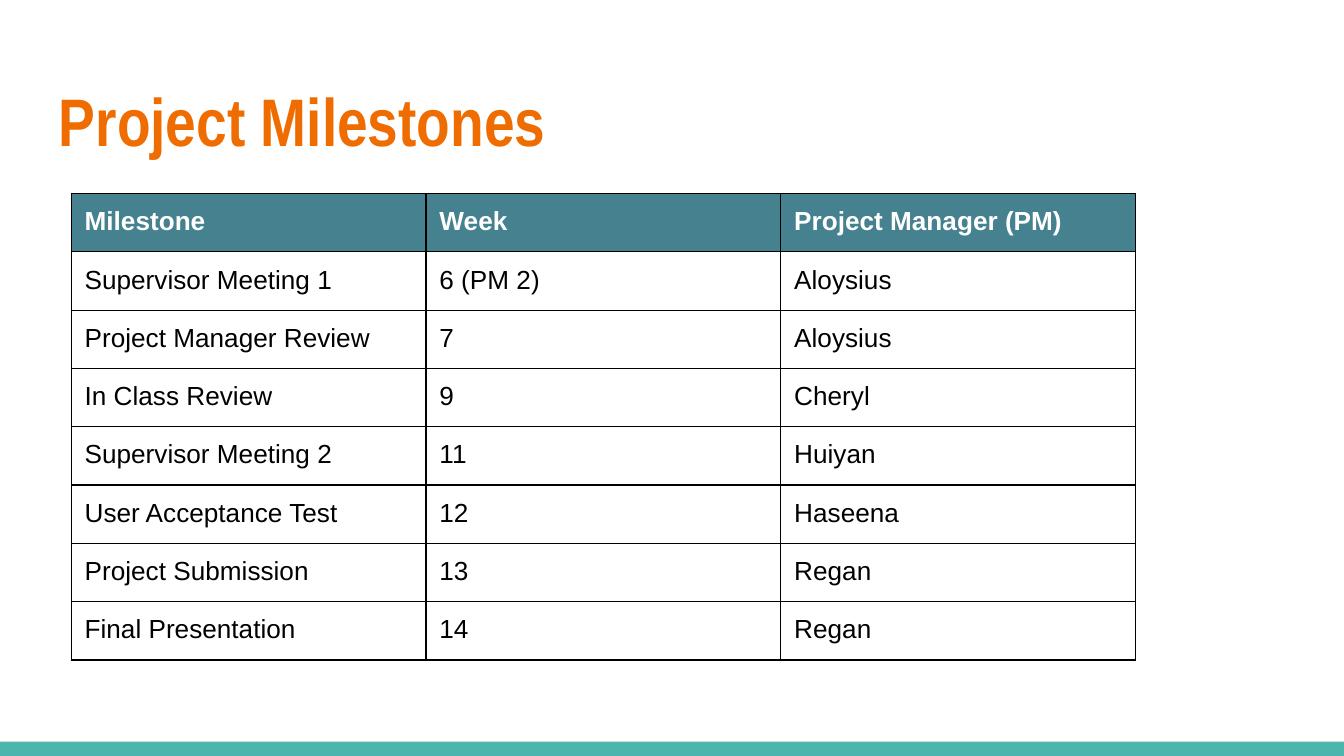
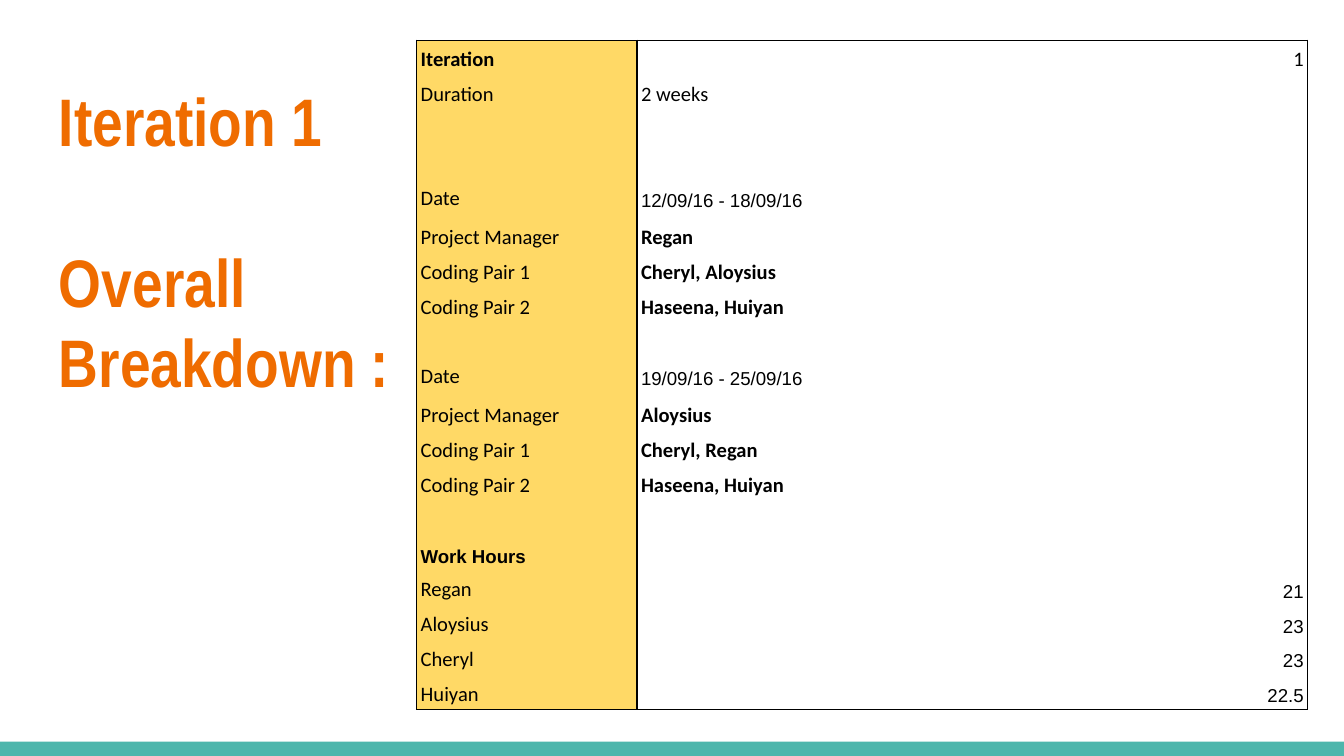
from lxml.etree import SubElement
from pptx import Presentation
from pptx.dml.color import RGBColor
from pptx.enum.shapes import MSO_SHAPE
from pptx.enum.text import MSO_ANCHOR, PP_ALIGN
from pptx.oxml.ns import qn
from pptx.util import Inches, Pt

COLORS = {
    "band": "4DB6AC",
    "title": "EF6C00",
    "header": "45818E",
    "label": "FFD966",
    "black": "000000",
    "white": "FFFFFF",
}

# Grid: 100 columns by 100 rows over the slide
WIDTH, HEIGHT = Inches(10), Inches(5.625)
TITLE_SIZE = 36
TITLE_LINE = 43
BORDER_WIDTH = Pt(0.75)
SIDES = ("L", "R", "T", "B")

MILESTONES = [
    ("Milestone", "Week", "Project Manager (PM)"),
    ("Supervisor Meeting 1", "6 (PM 2)", "Aloysius"),
    ("Project Manager Review", "7", "Aloysius"),
    ("In Class Review", "9", "Cheryl"),
    ("Supervisor Meeting 2", "11", "Huiyan"),
    ("User Acceptance Test", "12", "Haseena"),
    ("Project Submission", "13", "Regan"),
    ("Final Presentation", "14", "Regan"),
]

# Text styles: font name, size, bold, alignment
PLAIN = ("Calibri", 11, False, PP_ALIGN.LEFT)
STRONG = ("Calibri", 11, True, PP_ALIGN.LEFT)
NUMBER = ("Calibri", 11, False, PP_ALIGN.RIGHT)
DATE = ("Arial", 10, False, PP_ALIGN.LEFT)
HEADING = ("Arial", 10, True, PP_ALIGN.LEFT)
HOURS = ("Arial", 10, False, PP_ALIGN.RIGHT)

# Each row: label, label style, value, value style
EMPTY = ("", PLAIN, "", PLAIN)


def week_rows(dates, manager, first_pair, second_pair):
    return [
        ("Date", PLAIN, dates, DATE),
        ("Project Manager", PLAIN, manager, STRONG),
        ("Coding Pair 1", PLAIN, first_pair, STRONG),
        ("Coding Pair 2", PLAIN, second_pair, STRONG),
        EMPTY,
    ]


BREAKDOWN = [
    ("Iteration", STRONG, "1", NUMBER),
    ("Duration", PLAIN, "2 weeks", PLAIN),
    EMPTY,
    EMPTY,
    *week_rows("12/09/16 - 18/09/16", "Regan", "Cheryl, Aloysius", "Haseena, Huiyan"),
    *week_rows("19/09/16 - 25/09/16", "Aloysius", "Cheryl, Regan", "Haseena, Huiyan"),
    ("Work Hours", HEADING, "", PLAIN),
    ("Regan", PLAIN, "21", HOURS),
    ("Aloysius", PLAIN, "23", HOURS),
    ("Cheryl", PLAIN, "23", HOURS),
    ("Huiyan", PLAIN, "22.5", HOURS),
]


def columns(count):
    return round(WIDTH * count / 100)


def rows(count):
    return round(HEIGHT * count / 100)


def color(name):
    return RGBColor.from_string(COLORS[name])


def set_font(paragraph, name, size, bold, color_name):
    font = paragraph.font
    font.name, font.size, font.bold = name, Pt(size), bold
    font.color.rgb = color(color_name)


# Shared slide parts
def add_band(slide):
    band = slide.shapes.add_shape(
        MSO_SHAPE.RECTANGLE, 0, rows(98.1), WIDTH, rows(1.9))
    band.shadow.inherit = False
    band.fill.solid()
    band.fill.fore_color.rgb = color("band")
    band.line.fill.background()


def add_title(slide, *lines):
    box = slide.shapes.add_textbox(
        columns(3.4), rows(8.71), columns(93.2), rows(13.69))
    frame = box.text_frame
    frame.word_wrap = True
    frame.margin_left = frame.margin_right = Inches(0.1)
    frame.margin_top = frame.margin_bottom = Inches(0.1)
    frame.text = "\n".join(lines)
    for paragraph in frame.paragraphs:
        set_font(paragraph, "Arial Narrow", TITLE_SIZE, True, "title")
    return frame


def add_titled_slide(presentation, *lines):
    slide = presentation.slides.add_slide(presentation.slide_layouts[6])
    add_band(slide)
    return slide, add_title(slide, *lines)


# Tables
def add_table(slide, left, top, widths, heights):
    table = slide.shapes.add_table(
        len(heights), len(widths), left, top, sum(widths), sum(heights)).table
    table.first_row = table.horz_banding = False
    for column, width in zip(table.columns, widths):
        column.width = width
    for row, height in zip(table.rows, heights):
        row.height = height
    return table


def set_borders(cell, visible):
    properties = cell._tc.get_or_add_tcPr()
    for side in SIDES:
        line = SubElement(properties, qn(f"a:ln{side}"), w=str(BORDER_WIDTH))
        if side in visible:
            fill = SubElement(line, qn("a:solidFill"))
            SubElement(fill, qn("a:srgbClr"), val=COLORS["black"])
        else:
            SubElement(line, qn("a:noFill"))


def fill_cell(cell, text, fill_name, borders, margins):
    set_borders(cell, borders)
    if fill_name:
        cell.fill.solid()
        cell.fill.fore_color.rgb = color(fill_name)
    else:
        cell.fill.background()
    side_margin, end_margin = margins
    cell.margin_left = cell.margin_right = Inches(side_margin)
    cell.margin_top = cell.margin_bottom = Inches(end_margin)
    cell.text = text
    return cell.text_frame.paragraphs[0]


def add_milestones(slide):
    table = add_table(slide, columns(5.3), rows(25.6),
                      [columns(26.4)] * 3, [rows(7.47)] * len(MILESTONES))
    for row_index, texts in enumerate(MILESTONES):
        header = row_index == 0
        for column_index, text in enumerate(texts):
            paragraph = fill_cell(table.cell(row_index, column_index), text,
                                  "header" if header else None, SIDES, (0.1, 0.1))
            set_font(paragraph, "Arial", 14, header, "white" if header else "black")


def add_breakdown(slide):
    # Rows that follow a date are taller; the others share the rest
    tall = rows(5.16)
    after_date = [index + 1 for index, row in enumerate(BREAKDOWN) if row[0] == "Date"]
    plain = (rows(88.53) - tall * len(after_date)) // (len(BREAKDOWN) - len(after_date))
    heights = [tall if index in after_date else plain for index in range(len(BREAKDOWN))]
    table = add_table(slide, columns(31), rows(5.33),
                      [columns(16.4), columns(49.9)], heights)

    last = len(BREAKDOWN) - 1
    for row_index, (label, label_style, value, value_style) in enumerate(BREAKDOWN):
        borders = "LR" + {0: "T", last: "B"}.get(row_index, "")
        cells = [(label, label_style, "label"), (value, value_style, None)]
        for column_index, (text, style, fill_name) in enumerate(cells):
            cell = table.cell(row_index, column_index)
            paragraph = fill_cell(cell, text, fill_name, borders, (0.03, 0.02))
            name, size, bold, alignment = style
            set_font(paragraph, name, size, bold, "black")
            paragraph.alignment = alignment
            paragraph.line_spacing = 1.15
            cell.vertical_anchor = MSO_ANCHOR.BOTTOM


def main():
    presentation = Presentation()
    presentation.slide_width, presentation.slide_height = WIDTH, HEIGHT

    # Milestones
    slide, _ = add_titled_slide(presentation, "Project Milestones")
    add_milestones(slide)

    # Iteration breakdown
    slide, title = add_titled_slide(
        presentation, "Iteration 1", "Overall", "Breakdown :")
    title.paragraphs[1].space_before = Pt(TITLE_LINE)
    add_breakdown(slide)

    presentation.save("out.pptx")


if __name__ == "__main__":
    main()
